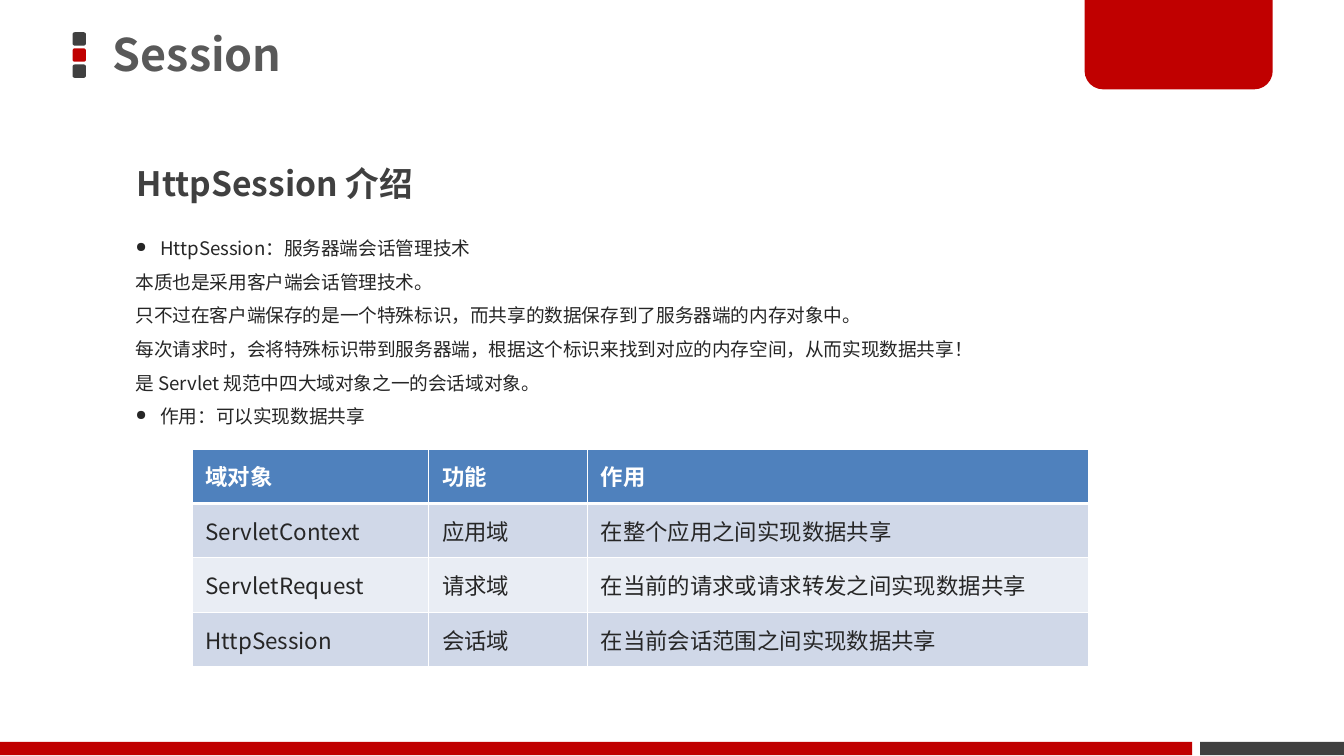
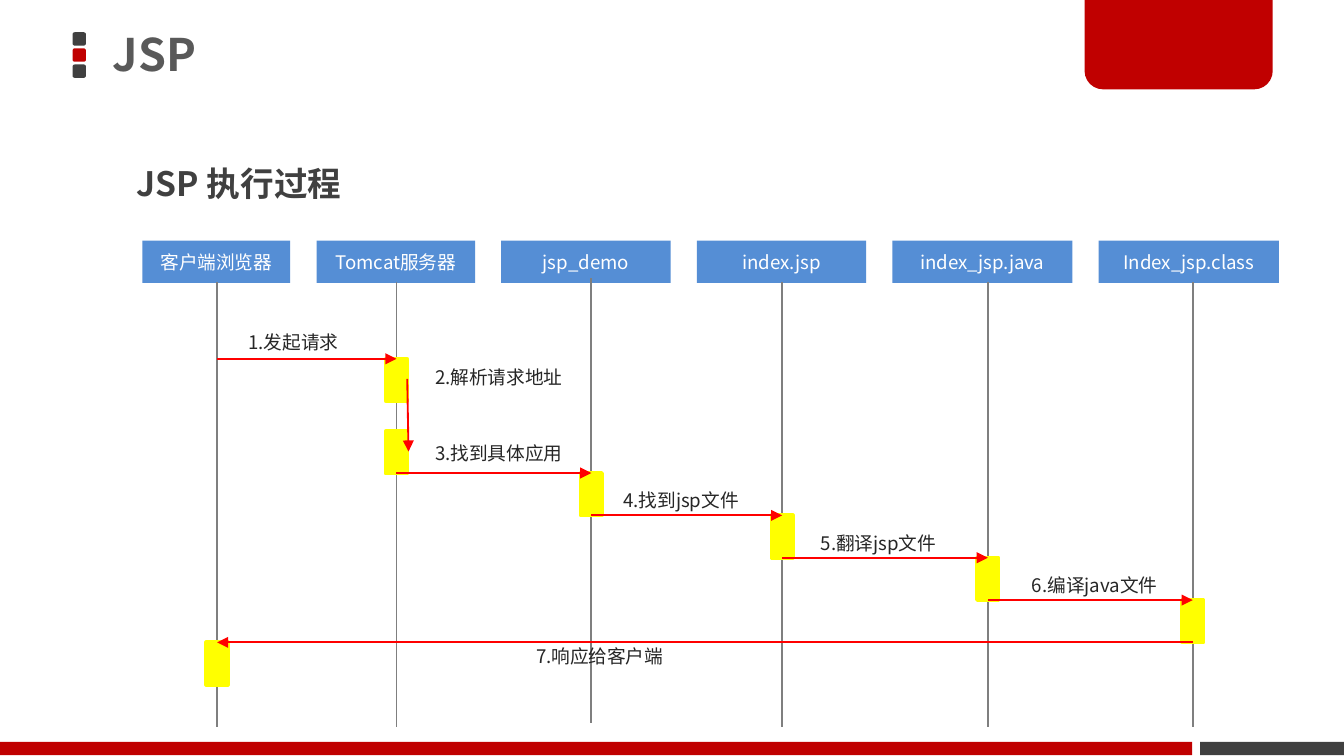
from lxml.etree import SubElement as Sub
from pptx import Presentation
from pptx.dml.color import RGBColor as RGB
from pptx.enum.shapes import MSO_CONNECTOR as LINK, MSO_SHAPE as SHAPE
from pptx.enum.text import MSO_ANCHOR as ANCHOR, MSO_AUTO_SIZE as FIT, PP_ALIGN as ALIGN
from pptx.oxml.ns import qn
from pptx.util import Emu, Inches, Pt

FACE = "Noto Sans CJK SC"
HUES = {
    "red": "C00000", "dark": "404040", "title": "595959", "body": "262626",
    "white": "FFFFFF", "head": "4F81BD", "odd": "D0D8E8", "even": "E9EDF4",
    "box": "558ED5", "axis": "7F7F7F", "bar": "FFFF00", "arrow": "FF0000",
}
STYLES = {
    "title": {"size": Pt(24), "bold": True, "hue": "title"},
    "topic": {"size": Pt(18), "bold": True, "hue": "dark"},
    "body": {"size": Pt(10), "bold": False, "hue": "body"},
    "box": {"size": Pt(10), "bold": False, "hue": "white"},
    "head": {"size": Pt(12), "bold": True, "hue": "white"},
    "cell": {"size": Pt(12), "bold": False, "hue": "body"},
}

# The slide is a grid of 100 columns by 56.25 rows
COLS, ROWS = 100, 56.25
WIDE = Inches(10)
UNIT = WIDE / COLS

NOTES = [
    ("●", "HttpSession：服务器端会话管理技术"),
    (None, "本质也是采用客户端会话管理技术。"),
    (None, "只不过在客户端保存的是一个特殊标识，而共享的数据保存到了服务器端的内存对象中。"),
    (None, "每次请求时，会将特殊标识带到服务器端，根据这个标识来找到对应的内存空间，从而实现数据共享！"),
    (None, "是 Servlet 规范中四大域对象之一的会话域对象。"),
    ("●", "作用：可以实现数据共享"),
]
SCOPES = [
    ("域对象", "功能", "作用"),
    ("ServletContext", "应用域", "在整个应用之间实现数据共享"),
    ("ServletRequest", "请求域", "在当前的请求或请求转发之间实现数据共享"),
    ("HttpSession", "会话域", "在当前会话范围之间实现数据共享"),
]
# Name, box width, lifeline column, lifeline top
ACTORS = [
    ("客户端浏览器", 11, 16.15, 21), ("Tomcat服务器", 11.8, 29.5, 21),
    ("jsp_demo", 12.6, 44, 20.7), ("index.jsp", 12.6, 58.2, 21),
    ("index_jsp.java", 13.4, 73.5, 21), ("Index_jsp.class", 13.4, 88.75, 21),
]
# Text, left, top, width
STEPS = [
    ("1.发起请求", 17.5, 24.1, 9.4), ("2.解析请求地址", 31.4, 26.7, 12.4),
    ("3.找到具体应用", 31.4, 32.4, 12.4), ("4.找到jsp文件", 45.4, 35.9, 12.4),
    ("5.翻译jsp文件", 60.1, 39.1, 12.4), ("6.编译java文件", 75.8, 42.2, 12.8),
    ("7.响应给客户端", 38.9, 47.5, 12.4),
]


def grid(*cells):
    return [Emu(round(n * UNIT)) for n in cells]


def color(name):
    return RGB.from_string(HUES[name])


def write(para, text, style):
    run = para.add_run()
    run.text = text
    run.font.name = FACE
    for key, value in STYLES[style].items():
        if key == "hue":
            run.font.color.rgb = color(value)
        else:
            setattr(run.font, key, value)
    Sub(run._r.get_or_add_rPr(), qn("a:ea"), typeface=FACE)


def block(slide, kind, place, hue, edge=None):
    shape = slide.shapes.add_shape(kind, *grid(*place))
    shape.shadow.inherit = False
    shape.fill.solid()
    shape.fill.fore_color.rgb = color(hue)
    if edge:
        shape.line.color.rgb = color(hue)
        shape.line.width = Pt(edge)
    else:
        shape.line.fill.background()
    return shape


def label(slide, place, text, style, wrap=True, space=None):
    frame = slide.shapes.add_textbox(*grid(*place)).text_frame
    frame.word_wrap = wrap
    frame.auto_size = FIT.SHAPE_TO_FIT_TEXT
    para = frame.paragraphs[0]
    if space:
        para.line_spacing = space
    if text:
        write(para, text, style)
    return frame


def link(slide, start, end, hue, arrow=False):
    line = slide.shapes.add_connector(LINK.STRAIGHT, *grid(*start, *end))
    line.line.color.rgb = color(hue)
    line.line.width = Pt(1)
    props = line._element.spPr
    if arrow:
        Sub(props.find(qn("a:ln")), qn("a:tailEnd"), type="triangle")
    Sub(props, qn("a:effectLst"))


def base(deck, title, topic):
    slide = deck.slides.add_slide(deck.slide_layouts[6])
    # Title mark, corner tab and footer bands
    for i, hue in enumerate(("dark", "red", "dark")):
        block(slide, SHAPE.ROUNDED_RECTANGLE, (5.4, 2.4 + 1.2 * i, 1, 1), hue)
    block(slide, SHAPE.RECTANGLE, (89.3, 55.2, 10.7, 1), "dark")
    tab = block(slide, SHAPE.ROUND_2_SAME_RECTANGLE, (80.7, -0.2, 14, 6.85), "red")
    tab.adjustments[0], tab.adjustments[1] = 0, 0.2
    block(slide, SHAPE.RECTANGLE, (0, 55.2, 88.7, 1), "red")
    # Title and topic
    frame = label(slide, (6.9, -0.2, 58.9, 8.9), title, "title", space=0.9)
    frame.auto_size = FIT.NONE
    frame.vertical_anchor = ANCHOR.MIDDLE
    frame.margin_left, frame.margin_top, frame.margin_bottom = grid(1.5, 0.4, 0.4)
    label(slide, (9.2, 10.1, 38.4, 5.5), topic, "topic", space=1.5)
    return slide


def notes(slide, place, items):
    frame = label(slide, place, "", "body")
    indent = grid(1.85)[0]
    for i, (mark, text) in enumerate(items):
        para = frame.add_paragraph() if i else frame.paragraphs[0]
        props = para._p.get_or_add_pPr()
        props.set("marL", str(indent))
        props.set("indent", str(-indent))
        if mark:
            tint = Sub(props, qn("a:buClr"))
            Sub(tint, qn("a:srgbClr"), val=HUES["body"])
            Sub(props, qn("a:buSzPct"), val="75000")
            Sub(props, qn("a:buChar"), char=mark)
        else:
            Sub(props, qn("a:buNone"))
        para.level = 1
        para.line_spacing = 1.5
        write(para, text, "body")


def border(cell, side, width):
    line = Sub(cell._tc.get_or_add_tcPr(), qn("a:ln" + side), w=str(Pt(width)))
    fill = Sub(line, qn("a:solidFill"))
    Sub(fill, qn("a:srgbClr"), val=HUES["white"])


def table(slide, place, widths, rows):
    grown = slide.shapes.add_table(len(rows), len(widths), *grid(*place)).table
    for col, width in zip(grown.columns, grid(*widths)):
        col.width = width
    for r, row in enumerate(rows):
        hue = "head" if r == 0 else "odd" if r % 2 else "even"
        for c, text in enumerate(row):
            cell = grown.cell(r, c)
            thick = {0: "B", 1: "T"}.get(r)
            for side in "LRTB":
                border(cell, side, 1.47 if side == thick else 0.45)
            cell.fill.solid()
            cell.fill.fore_color.rgb = color(hue)
            cell.vertical_anchor = ANCHOR.MIDDLE
            write(cell.text_frame.paragraphs[0], text, "cell" if r else "head")


def flow(slide):
    # Actors and their lifelines
    left = 10.6
    for name, width, axis, top in ACTORS:
        box = block(slide, SHAPE.RECTANGLE, (left, 17.9, width, 3.15), "box")
        frame = box.text_frame
        frame.word_wrap = True
        frame.vertical_anchor = ANCHOR.MIDDLE
        frame.paragraphs[0].alignment = ALIGN.CENTER
        write(frame.paragraphs[0], name, "box")
        link(slide, (axis, top), (axis, top + 33.1), "axis")
        left += width + 1.95
    # Each call goes one lifeline on, one level down; the last returns
    axes = [actor[2] for actor in ACTORS]
    calls = [(0, 1, 26.7)]
    calls += [(i + 1, (i + 2) % len(axes), 35.2 + 3.15 * i) for i in range(5)]
    bars = [(end, top) for _, end, top in calls] + [(1, 32.1)]
    for end, top in bars:
        block(slide, SHAPE.RECTANGLE, (axes[end] - 0.8, top, 1.6, 3.15), "bar", 2)
    for start, end, top in calls:
        link(slide, (axes[start], top), (axes[end], top), "arrow", True)
    link(slide, (30.3, 28.2), (30.4, 33.6), "arrow", True)
    # Step labels
    for text, x, y, width in STEPS:
        label(slide, (x, y, width, 2.7), text, "body", wrap=False)


def main():
    deck = Presentation()
    deck.slide_width, deck.slide_height = grid(COLS, ROWS)
    session = base(deck, "Session", "HttpSession 介绍")
    notes(session, (9.1, 16.3, 73.2, 16.1), NOTES)
    table(session, (14.3, 33.4, 66.7, 16.2), (17.6, 11.8, 37.3), SCOPES)
    flow(base(deck, "JSP", "JSP 执行过程"))
    deck.save("out.pptx")


if __name__ == "__main__":
    main()
